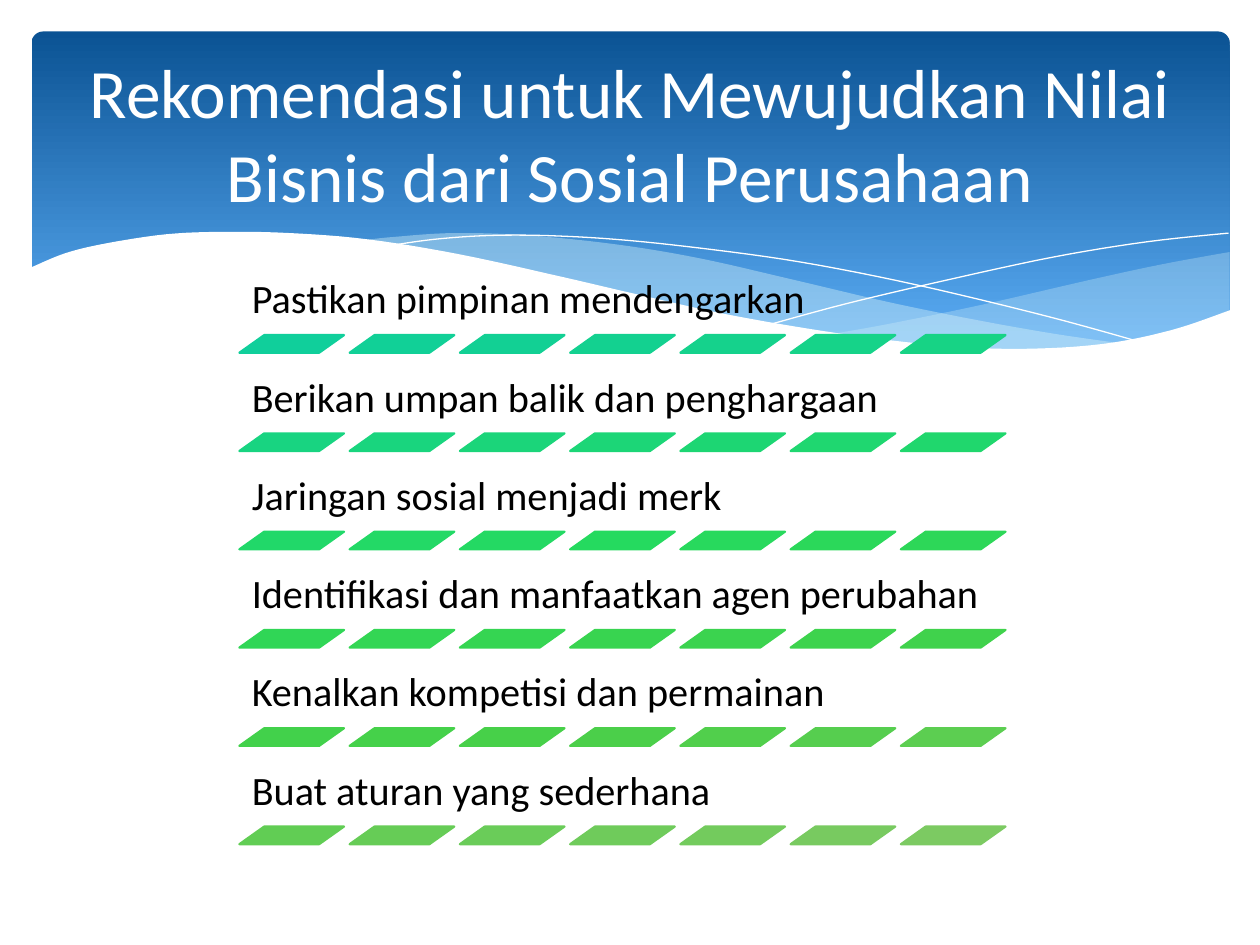
import colorsys
from lxml import etree
from pptx import Presentation
from pptx import util as u
from pptx.dml import color
from pptx.enum import shapes, text
from pptx.oxml import ns

FONT = "Calibri"
TITLE = "Rekomendasi untuk Mewujudkan Nilai Bisnis dari Sosial Perusahaan"
RECOMMENDATIONS = [
    "Pastikan pimpinan mendengarkan",
    "Berikan umpan balik dan penghargaan",
    "Jaringan sosial menjadi merk",
    "Identifikasi dan manfaatkan agen perubahan",
    "Kenalkan kompetisi dan permainan",
    "Buat aturan yang sederhana",
]
DASHES = 7
FIRST_DASH, LAST_DASH = "10CF9B", "7CCA62"

RIGHT_VEIL = [
    [(684.7, 126), (645.1, 133.2), (601.9, 142.6), (542.9, 156.2), (490.3, 167),
     (457.9, 172.8)],
    [(457.9, 172.8), (489.6, 177.1), (527, 180.7), (560.2, 182.2), (596.9, 180.7),
     (627.8, 176.4), (655.2, 170.6), (684.7, 159.8)],
]
MIDDLE_VEIL = [
    [(625, 178.6), (584.6, 172.8), (540, 164.9), (490.3, 154.8), (434.9, 141.8),
     (381.6, 129.6), (334.1, 121.7), (284.4, 116.6), (241.9, 115.2), (207.4, 117.4),
     (187.9, 119.5)],
    [(187.9, 119.5), (228.2, 125.3), (272.9, 133.9), (305.3, 141.8), (363.6, 154.8),
     (414.7, 165.6), (460.8, 173.5), (501.8, 179.3), (538.6, 181.4), (571, 182.2),
     (599, 181.4), (625, 178.6)],
]
FALLING_THREAD = [
    [(204.5, 122.4), (229.7, 118.8), (260.6, 116.6), (293.8, 116.6), (334.1, 118.8),
     (382.3, 123.8), (439.9, 131.8), (505.4, 144.7), (580.3, 162.7), (635, 177.8)],
]
RISING_THREAD = [
    [(423.4, 167), (465.8, 155.5), (520.6, 142.6), (583.9, 128.9), (637.2, 120.2),
     (684, 115.2)],
]
WHITE_WAVE = [
    [(685.4, 159.1), (651.6, 170.6), (612, 178.6), (564.5, 181.4), (517.7, 179.3),
     (463, 172.8), (398.9, 162), (344.2, 149.8), (303.8, 140.4), (244.8, 127.4),
     (192.2, 118.8), (147.6, 115.2), (109.4, 114.5), (77, 115.9), (43.2, 121),
     (19.4, 126.7), (-1.4, 135.4)],
    [(-1.4, 218.9), (685.4, 218.9)],
]


def rgb(value):
    return color.RGBColor.from_string(value)


def blend(start, end, share):
    first, last = (
        colorsys.rgb_to_hls(*(part / 255 for part in rgb(value))) for value in (start, end)
    )
    mixed = colorsys.hls_to_rgb(*(a + (b - a) * share for a, b in zip(first, last)))
    return "".join(f"{round(part * 255):02X}" for part in mixed)


def smooth(knots, steps=6):
    padded = [knots[0], *knots, knots[-1]]
    curve = [knots[0]]
    for a, b, c, d in zip(padded, padded[1:], padded[2:], padded[3:]):
        for step in range(1, steps + 1):
            t = step / steps
            curve.append(tuple(
                (2 * q + (r - p) * t + (2 * p - 5 * q + 4 * r - s) * t**2
                 + (3 * q - p - 3 * r + s) * t**3) / 2
                for p, q, r, s in zip(a, b, c, d)
            ))
    return curve


def add_curve(slide, box, edges, fill=None, alpha=100):
    left, top = box[:2]
    points = [
        (u.Pt(left + x), u.Pt(top + y)) for edge in edges for x, y in smooth(edge)
    ]
    builder = slide.shapes.build_freeform(*points[0], scale=1.0)
    builder.add_line_segments(points[1:], close=fill is not None)
    curve = builder.convert_to_shape()
    curve.shadow.inherit = False
    if fill is None:
        curve.fill.background()
        curve.line.color.rgb = rgb("FFFFFF")
        curve.line.width = u.Pt(0)
        return
    curve.fill.solid()
    curve.fill.fore_color.rgb = rgb(fill)
    curve.line.fill.background()
    if alpha < 100:
        tint = curve.fill._xPr.find(".//" + ns.qn("a:srgbClr"))
        etree.SubElement(tint, ns.qn("a:alpha"), val=str(alpha * 1000))


def add_words(slide, box, words, size, ink, anchor, align, spacing=1.0):
    label = slide.shapes.add_textbox(*map(u.Pt, box))
    frame = label.text_frame
    frame.word_wrap = True
    frame.vertical_anchor = anchor
    frame.margin_left = frame.margin_right = u.Pt(7.2)
    frame.margin_top = frame.margin_bottom = u.Pt(7.2)
    line = frame.paragraphs[0]
    line.text = words
    line.alignment = align
    line.line_spacing = spacing
    line.font.name = FONT
    line.font.size = u.Pt(size)
    line.font.color.rgb = rgb(ink)


def add_banner(slide, box):
    panel = slide.shapes.add_shape(shapes.MSO_SHAPE.ROUNDED_RECTANGLE, *map(u.Pt, box))
    panel.adjustments[0] = 0.034
    panel.shadow.inherit = False
    panel.line.fill.background()
    panel.fill.gradient()
    panel.fill.gradient_angle = 270
    stops = panel.fill.gradient_stops
    for stop, position, shade in zip(stops, (0, 0.9), ("0B5394", "59AAF2")):
        stop.position = position
        stop.color.rgb = rgb(shade)
    add_curve(slide, box, RIGHT_VEIL, "DBF5F9", 29)
    add_curve(slide, box, MIDDLE_VEIL, "DBF5F9", 40)
    add_curve(slide, box, FALLING_THREAD)
    add_curve(slide, box, RISING_THREAD)
    add_curve(slide, box, WHITE_WAVE, "FFFFFF")


def add_title(slide, box):
    add_words(slide, box, TITLE, 39.6, "FFFFFF",
              text.MSO_ANCHOR.MIDDLE, text.PP_ALIGN.CENTER)


def add_recommendations(slide, box):
    left, top, width, height = box
    row_pitch = height / len(RECOMMENDATIONS)
    words_height, dash_width, dash_height, dash_pitch = 40.3, 59.8, 10.1, 63
    last = len(RECOMMENDATIONS) * DASHES - 1
    for row, words in enumerate(RECOMMENDATIONS):
        row_top = top + row * row_pitch
        add_words(slide, (left, row_top, width, words_height), words, 23, "000000",
                  text.MSO_ANCHOR.BOTTOM, text.PP_ALIGN.LEFT, 0.9)
        for column in range(DASHES):
            dash = slide.shapes.add_shape(
                shapes.MSO_SHAPE.PARALLELOGRAM,
                u.Pt(left + column * dash_pitch), u.Pt(row_top + words_height),
                u.Pt(dash_width), u.Pt(dash_height),
            )
            dash.adjustments[0] = 1.41
            dash.shadow.inherit = False
            shade = rgb(blend(FIRST_DASH, LAST_DASH, (row * DASHES + column) / last))
            dash.fill.solid()
            dash.fill.fore_color.rgb = shade
            dash.line.color.rgb = shade
            dash.line.width = u.Pt(1.25)


def main():
    deck = Presentation()
    deck.slide_width, deck.slide_height = u.Pt(720), u.Pt(540)
    slide = deck.slides.add_slide(deck.slide_layouts[6])
    add_banner(slide, (18, 18, 684.7, 194.4))
    add_recommendations(slide, (136.8, 151.2, 446.4, 337))
    add_title(slide, (36, 26.6, 648, 98.6))
    deck.save("out.pptx")


if __name__ == "__main__":
    main()
